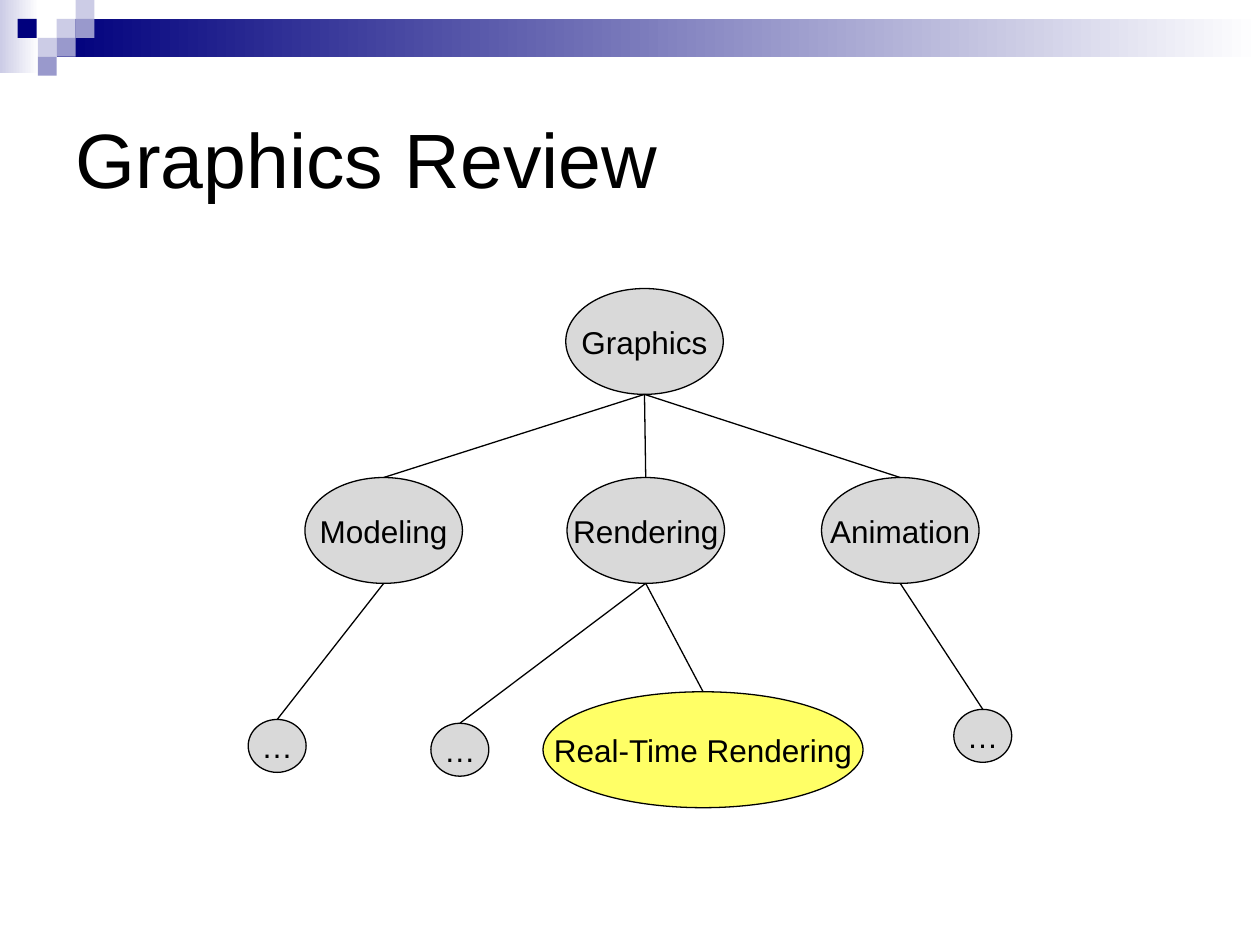
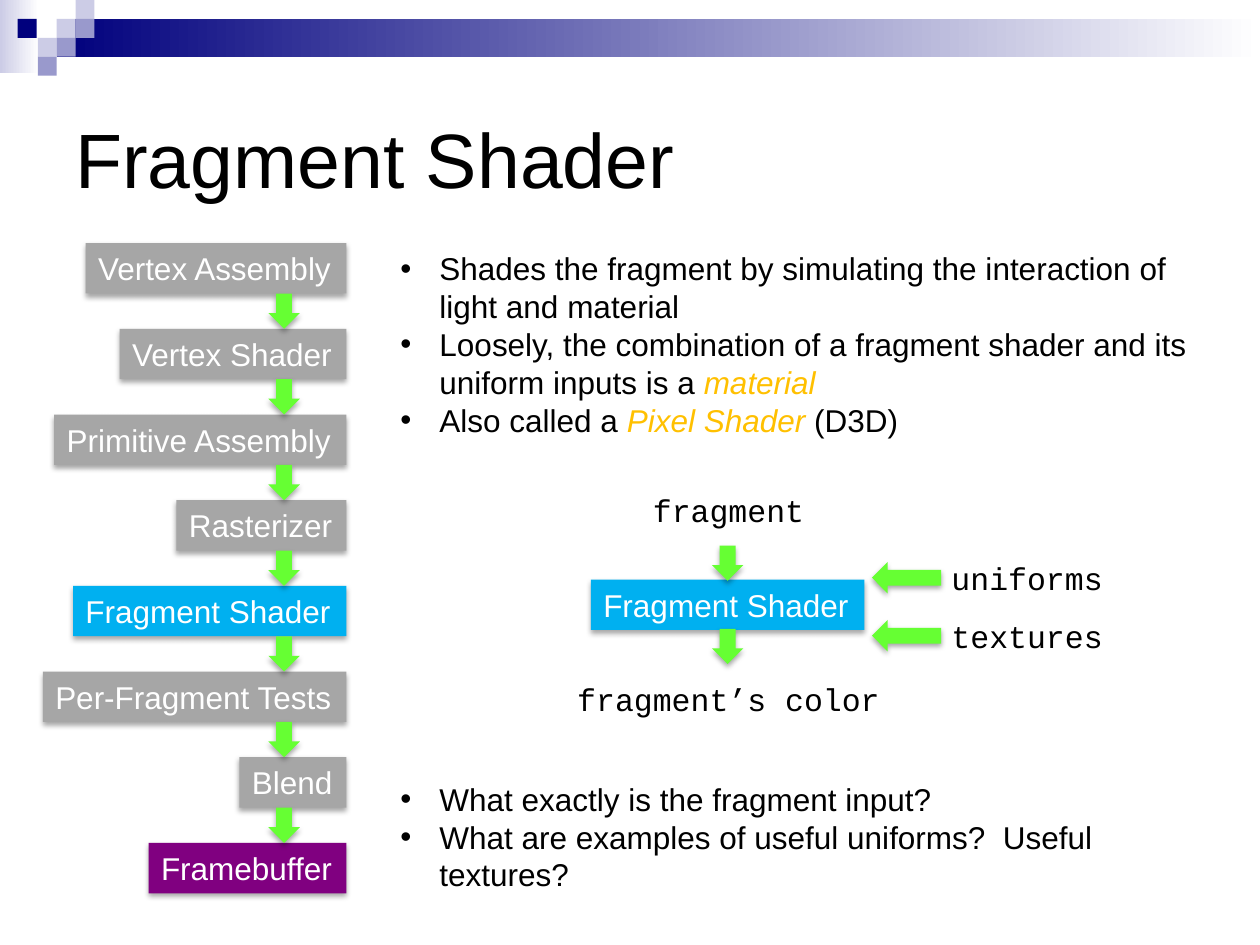
"""Builds two graphics lecture slides: a topic tree and the fragment shader stage."""
from lxml import etree
from pptx import Presentation
from pptx.dml.color import RGBColor
from pptx.enum import shapes, text
from pptx.oxml.ns import qn
from pptx.util import Inches, Pt

BLACK = RGBColor(0x00, 0x00, 0x00)
WHITE = RGBColor(0xFF, 0xFF, 0xFF)
NAVY = RGBColor(0x00, 0x00, 0x7D)
LAVENDER = RGBColor(0xCC, 0xCC, 0xE6)
PERIWINKLE = RGBColor(0x99, 0x99, 0xCC)
LIGHT_GRAY = RGBColor(0xD9, 0xD9, 0xD9)
GRAY = RGBColor(0xA6, 0xA6, 0xA6)
YELLOW = RGBColor(0xFF, 0xFF, 0x66)
CYAN = RGBColor(0x00, 0xB0, 0xF0)
PURPLE = RGBColor(0x80, 0x00, 0x80)
GREEN = RGBColor(0x66, 0xFF, 0x33)
AMBER = RGBColor(0xFF, 0xC0, 0x00)
SHAPE = shapes.MSO_SHAPE
ALIGN = text.PP_ALIGN


def add_block(slide, preset, box, fill, shadow=False):
    """Add a borderless shape with a colour or a list of gradient colours."""
    block = slide.shapes.add_shape(preset, *map(Inches, box))
    block.shadow.inherit = False
    block.line.fill.background()
    if isinstance(fill, list):
        block.fill.gradient()
        block.fill.gradient_angle = 0
        for stop, color in zip(block.fill.gradient_stops, fill):
            stop.color.rgb = color
    else:
        block.fill.solid()
        block.fill.fore_color.rgb = fill
    if shadow:
        effects = block._element.spPr.find(qn("a:effectLst"))
        outer = etree.SubElement(effects, qn("a:outerShdw"), blurRad=str(Pt(3.1)),
                                 dist=str(Pt(1.8)), dir="5400000", rotWithShape="0")
        tint = etree.SubElement(outer, qn("a:srgbClr"), val="000000")
        etree.SubElement(tint, qn("a:alpha"), val="35000")
    return block


def write(shape, words, color=BLACK, size=18, font="Arial", align=ALIGN.LEFT):
    """Put one vertically centred line of text in a shape."""
    frame = shape.text_frame
    frame.word_wrap = False
    frame.vertical_anchor = text.MSO_ANCHOR.MIDDLE
    line = frame.paragraphs[0]
    line.text = words
    line.alignment = align
    line.font.name, line.font.size, line.font.color.rgb = font, Pt(size), color


prs = Presentation()
prs.slide_width, prs.slide_height = Inches(10), Inches(7.5)

header = [
    ((0, 0, 0.31, 0.58), [LAVENDER, WHITE]),
    ((0.45, 0.15, 9.55, 0.3), [NAVY, WHITE]),
]
for left, top, color in [
    (0.45, 0.15, LAVENDER), (0.6, 0, LAVENDER), (0.6, 0.15, PERIWINKLE),
    (0.3, 0.3, LAVENDER), (0.14, 0.15, NAVY), (0.45, 0.3, PERIWINKLE),
    (0.3, 0.45, PERIWINKLE),
]:
    header.append(((left, top, 0.15, 0.15), color))

slides = []
for title in ("Graphics Review", "Fragment Shader"):
    slide = prs.slides.add_slide(prs.slide_layouts[6])
    for box, fill in header:
        add_block(slide, SHAPE.RECTANGLE, box, fill)
    heading = slide.shapes.add_textbox(Inches(0.5), Inches(0.5), Inches(9), Inches(1.5))
    write(heading, title, size=44)
    heading.text_frame.word_wrap = True
    slides.append(slide)
review, shader = slides

topics = [
    ("Graphics", None, (4.49, 2.29, 1.25, 0.84)),
    ("Modeling", 0, (2.42, 3.79, 1.25, 0.84)),
    ("Rendering", 0, (4.5, 3.79, 1.25, 0.84)),
    ("Animation", 0, (6.52, 3.79, 1.25, 0.84)),
    ("…", 1, (1.97, 5.71, 0.46, 0.42)),
    ("…", 2, (3.42, 5.74, 0.46, 0.42)),
    ("Real-Time Rendering", 2, (4.31, 5.49, 2.54, 0.92)),
    ("…", 3, (7.57, 5.63, 0.46, 0.42)),
]
nodes = []
for topic, parent, box in topics:
    node = add_block(review, SHAPE.OVAL, box,
                     YELLOW if topic == "Real-Time Rendering" else LIGHT_GRAY)
    node.line.color.rgb = BLACK
    node.line.width = Pt(0.75)
    write(node, topic, align=ALIGN.CENTER)
    nodes.append(node)
    if parent is not None:
        above = nodes[parent]
        branch = review.shapes.add_connector(
            shapes.MSO_CONNECTOR.STRAIGHT,
            above.left + above.width // 2, above.top + above.height, node.left, node.top)
        branch.end_connect(node, 0)
        branch.line.color.rgb = BLACK
        branch.line.width = Pt(0.75)
        etree.SubElement(branch._element.spPr, qn("a:effectLst"))

stages = [
    ("Vertex Assembly", 2.07, GRAY), ("Vertex Shader", 1.8, GRAY),
    ("Primitive Assembly", 2.32, GRAY), ("Rasterizer", 1.35, GRAY),
    ("Fragment Shader", 2.17, CYAN), ("Per-Fragment Tests", 2.41, GRAY),
    ("Blend", 0.85, GRAY), ("Framebuffer", 1.57, PURPLE),
]
STAGE_TOP, STAGE_PITCH, STAGE_HEIGHT, STAGE_RIGHT = 1.93, 0.68, 0.4, 2.75
boxes = [(stage, (STAGE_RIGHT - width, STAGE_TOP + i * STAGE_PITCH, width, STAGE_HEIGHT), color)
         for i, (stage, width, color) in enumerate(stages)]
boxes.append(("Fragment Shader", (4.69, 4.6, 2.17, STAGE_HEIGHT), CYAN))
for stage, box, color in boxes:
    write(add_block(shader, SHAPE.RECTANGLE, box, color, shadow=True), stage, WHITE)

down_arrows = [(2.13, STAGE_TOP + STAGE_HEIGHT + i * STAGE_PITCH)
               for i in range(len(stages) - 1)]
down_arrows += [(5.65, 4.33), (5.65, 4.99)]
for left, top in down_arrows:
    add_block(shader, SHAPE.DOWN_ARROW, (left, top, 0.25, 0.28), GREEN, shadow=True)
for top in (4.46, 4.92):
    add_block(shader, SHAPE.LEFT_ARROW, (6.92, top, 0.55, 0.25), GREEN, shadow=True)

for data, left, top, width in [
    ("fragment", 5.07, 3.85, 1.41), ("fragment’s color", 4.47, 5.35, 2.61),
    ("uniforms", 7.44, 4.39, 1.41), ("textures", 7.44, 4.85, 1.41),
]:
    label = shader.shapes.add_textbox(Inches(left), Inches(top), Inches(width), Inches(0.4))
    write(label, data, font="Courier New", align=ALIGN.RIGHT)

facts = [
    ["Shades the fragment by simulating the interaction of light and material"],
    ["Loosely, the combination of a fragment shader and its uniform inputs is a ", "material"],
    ["Also called a ", "Pixel Shader", " (D3D)"],
]
questions = [
    ["What exactly is the fragment input?"],
    ["What are examples of useful uniforms?  Useful textures?"],
]
for top, height, points in [(1.93, 1.61, facts), (6.14, 1.01, questions)]:
    notes = shader.shapes.add_textbox(Inches(3.08), Inches(top), Inches(6.5), Inches(height))
    frame = notes.text_frame
    frame.word_wrap = True
    for i, parts in enumerate(points):
        point = frame.add_paragraph() if i else frame.paragraphs[0]
        props = point._p.get_or_add_pPr()
        props.set("marL", str(Inches(0.31)))
        props.set("indent", str(-Inches(0.31)))
        etree.SubElement(props, qn("a:buFont"), typeface="Arial")
        etree.SubElement(props, qn("a:buChar"), char="•")
        point.font.name, point.font.size, point.font.color.rgb = "Arial", Pt(18), BLACK
        for j, part in enumerate(parts):
            run = point.add_run()
            run.text = part
            if j == 1:
                run.font.italic = True
                run.font.color.rgb = AMBER

prs.save("out.pptx")
